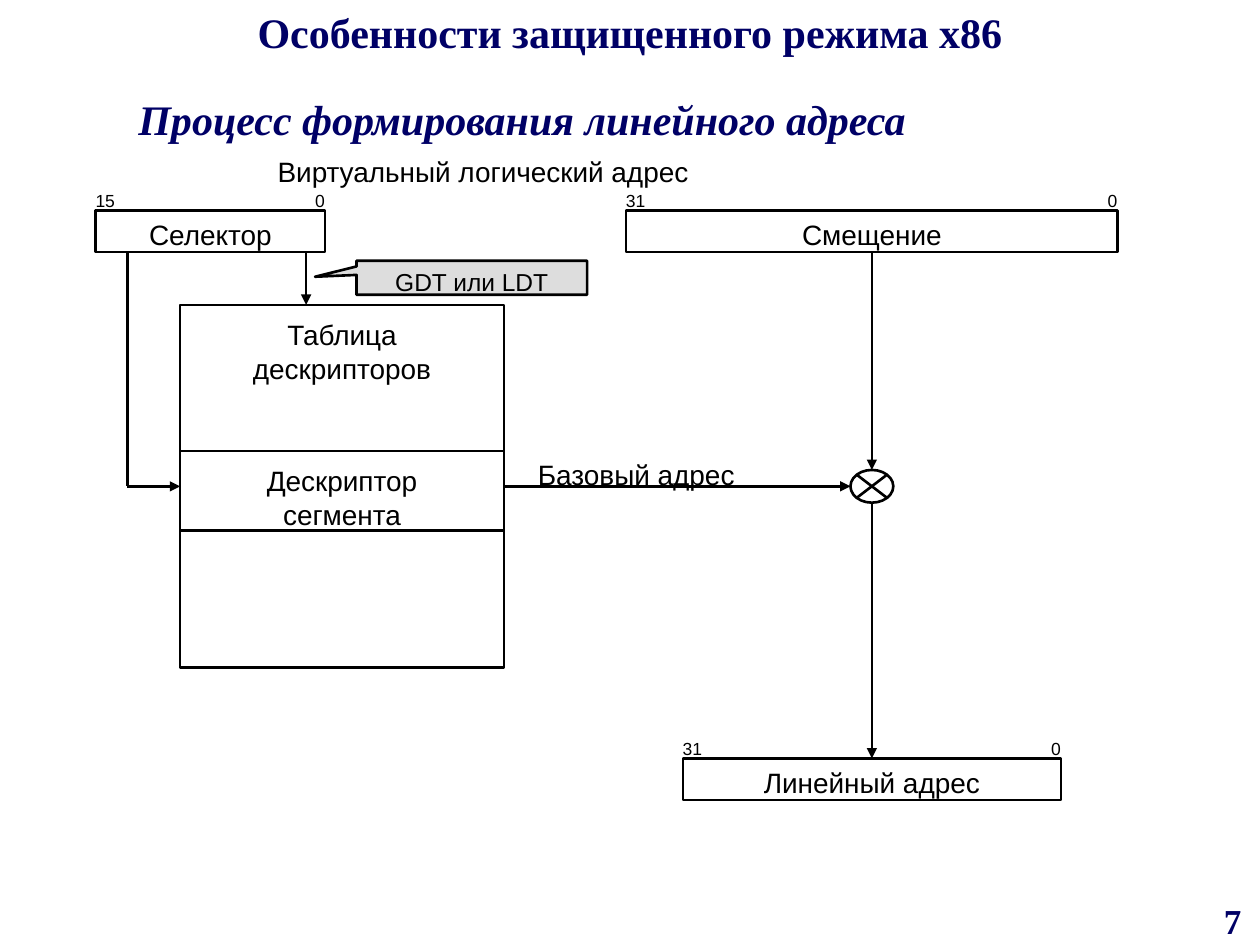
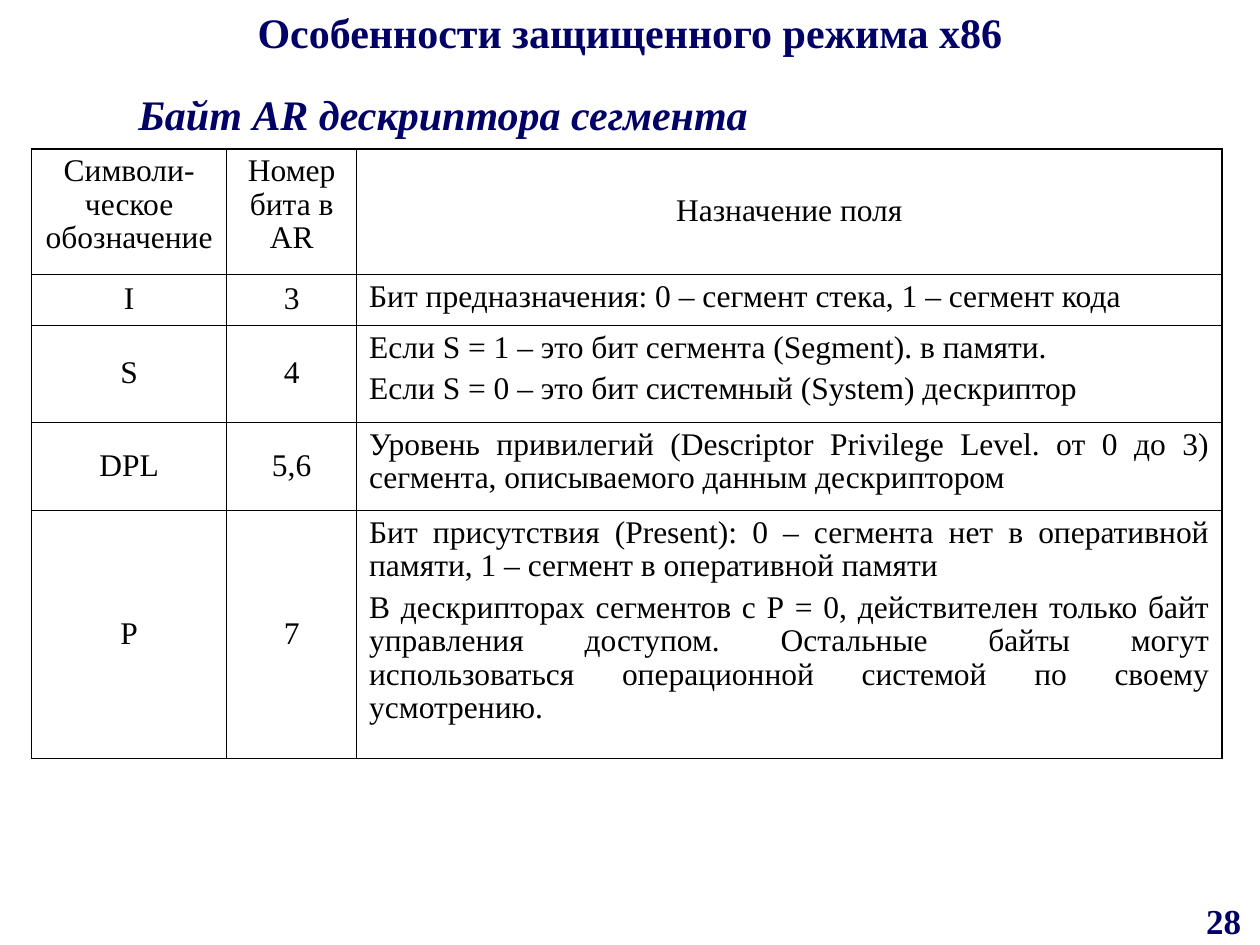
from dataclasses import dataclass

from lxml.etree import SubElement
from pptx import Presentation
from pptx.dml.color import RGBColor
from pptx.enum.shapes import MSO_CONNECTOR, MSO_SHAPE
from pptx.enum.text import MSO_ANCHOR, PP_ALIGN
from pptx.oxml import parse_xml
from pptx.oxml.ns import nsdecls, qn
from pptx.util import Inches, Pt

WIDTH, HEIGHT = Inches(10), Inches(7.5)
COLUMN, ROW = WIDTH // 100, HEIGHT // 75
NAVY, BLACK, GRAY = "000066", "000000", "DDDDDD"
SERIF, SANS = "Times New Roman", "Arial"
LEFT, CENTER, RIGHT, JUSTIFY = PP_ALIGN.LEFT, PP_ALIGN.CENTER, PP_ALIGN.RIGHT, PP_ALIGN.JUSTIFY
TITLE = "Особенности защищенного режима х86"
FIELDS = [
    ("Символи-ческое обозначение", "Номер бита в AR", "Назначение поля"),
    ("I", "3", "Бит предназначения: 0 – сегмент стека, 1 – сегмент кода"),
    ("S", "4", "Если S = 1 – это бит сегмента (Segment). в памяти.\n"
               "Если S = 0 – это бит системный (System) дескриптор"),
    ("DPL", "5,6", "Уровень привилегий (Descriptor Privilege Level. от 0 до 3) сегмента, "
                   "описываемого данным дескриптором"),
    ("P", "7", "Бит присутствия (Present): 0 – сегмента нет в оперативной памяти, "
               "1 – сегмент в оперативной памяти\n"
               "В дескрипторах сегментов c Р = 0, действителен только байт управления доступом. "
               "Остальные байты могут использоваться операционной системой по своему усмотрению."),
]


@dataclass
class Box:
    """A rectangle in grid columns and rows."""
    left: float
    top: float
    width: float
    height: float

    def inner(self, left, top, width, height):
        """Return a box placed relative to this one."""
        return Box(self.left + left, self.top + top, width, height)

    def point(self, across, down):
        """Return the slide position of a point relative to this box."""
        return int((self.left + across) * COLUMN), int((self.top + down) * ROW)

    def frame(self):
        """Return left, top, width and height as slide lengths."""
        return (*self.point(0, 0), int(self.width * COLUMN), int(self.height * ROW))


def rgb(color):
    """Turn a hex string into a colour."""
    return RGBColor.from_string(color)


def write(frame, text, size=16, font=SANS, color=BLACK, bold=False, italic=False,
          align=CENTER, anchor=MSO_ANCHOR.TOP, wrap=True, inset=0.05, gap=0,
          spacing=None, tab=None):
    """Fill a text frame with one paragraph per line of text."""
    frame.word_wrap = wrap
    frame.vertical_anchor = anchor
    frame.margin_left = frame.margin_right = Inches(0.1)
    frame.margin_top, frame.margin_bottom = Inches(inset), Inches(0.05)
    for index, line in enumerate(text.split("\n")):
        para = frame.add_paragraph() if index else frame.paragraphs[0]
        para.text = line
        para.alignment = align
        if index and gap:
            para.space_before = Pt(gap)
        if spacing:
            para.line_spacing = spacing
        if tab:
            stops = SubElement(para._p.get_or_add_pPr(), qn("a:tabLst"))
            SubElement(stops, qn("a:tab"), pos=str(int(tab * COLUMN)), algn="r")
        para.font.size = Pt(size)
        para.font.name = font
        para.font.bold, para.font.italic = bold, italic
        para.font.color.rgb = rgb(color)


def add_text(page, box, text, **style):
    """Add a text box."""
    label = page.shapes.add_textbox(*box.frame())
    write(label.text_frame, text, **style)
    return label


def add_block(page, box, text="", kind=MSO_SHAPE.RECTANGLE, fill=None, **style):
    """Add an outlined shape with optional fill and text."""
    block = page.shapes.add_shape(kind, *box.frame())
    block.shadow.inherit = False
    if fill:
        block.fill.solid()
        block.fill.fore_color.rgb = rgb(fill)
    else:
        block.fill.background()
    block.line.color.rgb = rgb(BLACK)
    block.line.width = Pt(1.5)
    if text:
        write(block.text_frame, text, **style)
    return block


def add_line(page, start, end, arrow=False):
    """Add a straight line, with an arrowhead at its end if asked."""
    line = page.shapes.add_connector(MSO_CONNECTOR.STRAIGHT, *start, *end)
    line.line.color.rgb = rgb(BLACK)
    line.line.width = Pt(1.5)
    if arrow:
        SubElement(line.line._get_or_add_ln(), qn("a:tailEnd"), type="triangle")
    SubElement(line._element.spPr, qn("a:effectLst"))
    return line


def add_page(deck, subtitle, number, subtitle_top):
    """Add a blank page with the shared title, subtitle and number."""
    page = deck.slides.add_slide(deck.slide_layouts[6])
    heading = dict(font=SERIF, color=NAVY, bold=True)
    add_text(page, Box(0, 0, 100, 6.3), TITLE, size=24, **heading)
    add_text(page, Box(94, 70.9, 5.5, 4.1), number, size=20, align=RIGHT, wrap=False, **heading)
    add_text(page, Box(10, subtitle_top, 63, 5), subtitle, size=24, italic=True,
             align=LEFT, wrap=False, **heading)
    return page


def draw_register(page, box, name, high_bit):
    """Draw a named register with its bit numbers above the corners."""
    register = add_block(page, box, name, inset=0.06)
    bits = add_text(page, box.inner(-1, -2.1, box.width + 2, 2.7), f"{high_bit}\t0",
                    size=10, align=LEFT, tab=box.width)
    bits.text_frame.margin_right = 0
    return register


def draw_descriptors(page, box):
    """Draw the descriptor table with its segment descriptor row."""
    table = add_block(page, box, "Таблица\nдескрипторов", inset=0.1)
    for down in (11.6, 17.9):
        add_line(page, box.point(0, down), box.point(box.width, down))
    add_text(page, box.inner(0, 12.1, box.width, 6.4), "Дескриптор\nсегмента")
    return table


def draw_address_flow(page, box):
    """Draw how selector and offset form the linear address."""
    middle, sum_axis, bottom = 26.8, 61.6, 8.3
    add_text(page, box.inner(-0.9, 0, 63.3, 3.7), "Виртуальный логический адрес")
    draw_register(page, box.inner(0, 4.9, 18.2, 3.3), "Селектор", 15)
    offset = draw_register(page, box.inner(sum_axis - 19.5, 4.9, 39, 3.3), "Смещение", 31)
    linear = draw_register(page, box.inner(sum_axis - 15, 48.4, 30, 3.3), "Линейный адрес", 31)
    table = draw_descriptors(page, box.inner(6.7, 12.4, 25.7, 28.8))
    add_block(page, box.inner(sum_axis - 1.7, middle - 1.3, 3.4, 2.6),
              kind=MSO_SHAPE.FLOWCHART_SUMMING_JUNCTION)
    add_text(page, box.inner(34.1, middle - 2.8, 17.6, 3.7), "Базовый адрес", wrap=False)
    callout = add_block(page, box.inner(20.7, 8.9, 18.3, 2.7), "GDT или LDT",
                        kind=MSO_SHAPE.RECTANGULAR_CALLOUT, fill=GRAY, size=14)
    callout.adjustments[0], callout.adjustments[1] = -0.68, -0.03

    add_line(page, box.point(2.5, bottom), box.point(2.5, middle))
    add_line(page, box.point(16.7, bottom), box.point(16.7, 12.4), arrow=True)
    index = add_line(page, box.point(2.5, middle), box.point(6.7, middle), arrow=True)
    index.end_connect(table, 1)
    base = add_line(page, box.point(32.4, middle), box.point(sum_axis - 1.7, middle), arrow=True)
    base.begin_connect(table, 3)
    shift = add_line(page, box.point(sum_axis, bottom), box.point(sum_axis, middle - 1.3), arrow=True)
    shift.begin_connect(offset, 2)
    result = add_line(page, box.point(sum_axis, middle + 1.3), box.point(sum_axis, 48.4), arrow=True)
    result.end_connect(linear, 0)


def set_borders(cell, outer):
    """Draw the cell's borders, thicker on the sides named in outer."""
    properties = cell._tc.get_or_add_tcPr()
    for index, side in enumerate("LRTB"):
        weight = Pt(1.08 if side in outer else 0.45)
        properties.insert(index, parse_xml(
            f'<a:ln{side} {nsdecls("a")} w="{weight}"><a:solidFill>'
            f'<a:srgbClr val="{BLACK}"/></a:solidFill></a:ln{side}>'))


def draw_fields(page, box):
    """Draw the table of access byte fields."""
    widths, heights = (15.5, 10.3, 68.7), (10, 4, 7.7, 7, 19.7)
    table = page.shapes.add_table(len(heights), len(widths), *box.frame()).table
    table.first_row = table.horz_banding = False
    for column, width in zip(table.columns, widths):
        column.width = int(width * COLUMN)
    for row, height in zip(table.rows, heights):
        row.height = int(height * ROW)
    last_row, last_column = len(heights) - 1, len(widths) - 1
    for r, texts in enumerate(FIELDS):
        for c, text in enumerate(texts):
            cell = table.cell(r, c)
            prose = r > 0 and c == last_column
            top = prose or (r == 0 and c < last_column)
            write(cell.text_frame, text, size=18, font=SERIF, gap=4.5, spacing=0.96,
                  align=JUSTIFY if prose else CENTER)
            cell.vertical_anchor = MSO_ANCHOR.TOP if top else MSO_ANCHOR.MIDDLE
            cell.fill.background()
            edges = {"L": c == 0, "R": c == last_column, "T": r == 0, "B": r == last_row}
            set_borders(cell, [side for side, is_outer in edges.items() if is_outer])


def main():
    """Build and save the deck."""
    deck = Presentation()
    deck.slide_width, deck.slide_height = WIDTH, HEIGHT
    page = add_page(deck, "Процесс формирования линейного адреса", "7", 6.9)
    draw_address_flow(page, Box(7.6, 11.8, 81.5, 51.7))
    page = add_page(deck, "Байт AR дескриптора сегмента", "28", 6.5)
    draw_fields(page, Box(2.5, 11.8, 94.5, 48.4))
    deck.save("out.pptx")


if __name__ == "__main__":
    main()
